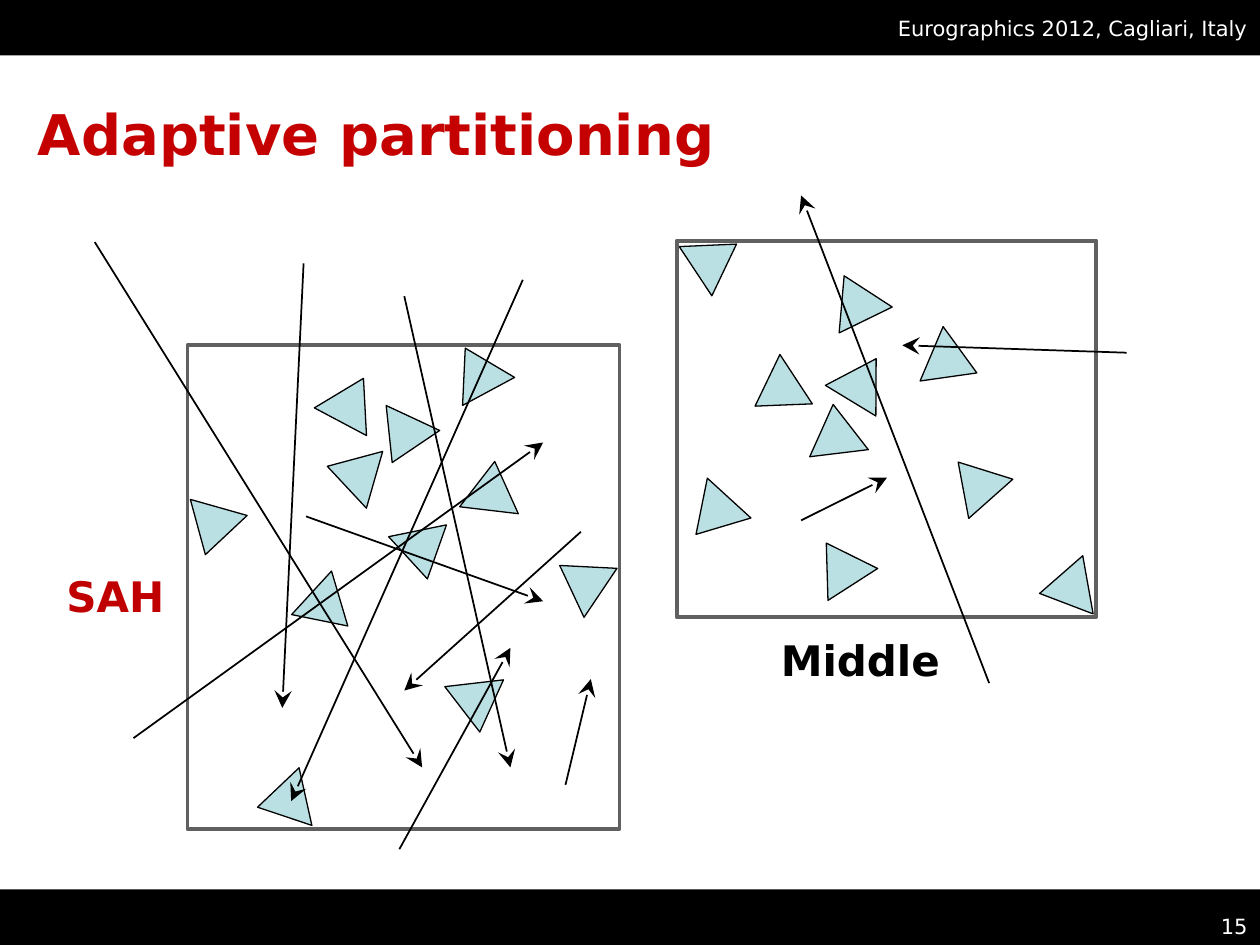
from dataclasses import dataclass

from lxml.etree import SubElement
from pptx import Presentation
from pptx.dml.color import RGBColor
from pptx.enum.shapes import MSO_CONNECTOR as Link, MSO_SHAPE as Kind
from pptx.enum.text import MSO_ANCHOR as Anchor, PP_ALIGN as Align
from pptx.oxml.ns import qn
from pptx.util import Cm, Pt

FONT = "DejaVu Sans"
BLACK, WHITE, RED = "000000", "FFFFFF", "C40000"
GREY, PALE = "606060", "BBE0E3"
WIDE, HIGH, BAND = 25.4, 19.05, 1.12


@dataclass
class Box:
    x: float
    y: float
    w: float
    h: float

    def spans(self) -> tuple:
        return Cm(self.x), Cm(self.y), Cm(self.w), Cm(self.h)


@dataclass
class Tri:
    x: float
    y: float
    turn: float


@dataclass
class Ray:
    x1: float
    y1: float
    x2: float
    y2: float


def tint(code: str) -> RGBColor:
    return RGBColor.from_string(code)


def write(shape, text: str, size=12, color=WHITE, bold=False,
          align=Align.LEFT, anchor=Anchor.TOP, wrap=True) -> None:
    frame = shape.text_frame
    frame.word_wrap = wrap
    frame.vertical_anchor = anchor
    para = frame.paragraphs[0]
    para.text = text
    para.alignment = align
    font = para.font
    font.name, font.size, font.bold = FONT, Pt(size), bold
    font.color.rgb = tint(color)


def draw(slide, kind, box: Box, fill=None, line=None, width=0.75, turn=0):
    shape = slide.shapes.add_shape(kind, *box.spans())
    shape.shadow.inherit = False
    shape.rotation = turn
    if fill:
        shape.fill.solid()
        shape.fill.fore_color.rgb = tint(fill)
    else:
        shape.fill.background()
    if line:
        shape.line.color.rgb = tint(line)
        shape.line.width = Pt(width)
    else:
        shape.line.fill.background()
    return shape


def shoot(slide, ray: Ray) -> None:
    link = slide.shapes.add_connector(
        Link.STRAIGHT, Cm(ray.x1), Cm(ray.y1), Cm(ray.x2), Cm(ray.y2))
    link.line.color.rgb = tint(BLACK)
    link.line.width = Pt(1)
    SubElement(link.line._get_or_add_ln(), qn("a:tailEnd"),
               type="stealth", w="lg", len="lg")
    SubElement(link._element.spPr, qn("a:effectLst"))


def label(slide, box: Box, text: str, **style) -> None:
    write(slide.shapes.add_textbox(*box.spans()), text, **style)


TRIS = [
    # Left scene
    Tri(6.5, 7.57, 28), Tri(6.48, 9.04, 286), Tri(7.52, 8.38, 205),
    Tri(9.02, 6.96, 331.7), Tri(9.32, 9.3, 6.7), Tri(7.92, 10.69, 168.5),
    Tri(11.1, 11.18, 303.9), Tri(6.05, 11.79, 132.5), Tri(9.02, 13.77, 173.4),
    Tri(3.68, 10.21, 195.8), Tri(5.08, 15.67, 257.5),
    # Right scene
    Tri(16.64, 5.51, 334), Tri(15.04, 7.42, 236.7), Tri(13.84, 4.7, 56.5),
    Tri(16.81, 7.16, 31.3), Tri(16.26, 8.15, 353.1), Tri(18.64, 6.83, 112.9),
    Tri(16.33, 10.87, 327.3), Tri(13.77, 9.91, 222.4), Tri(19.05, 9.19, 318.4),
    Tri(20.85, 11.38, 259.9),
]
CELLS = [Box(3.78, 6.96, 8.71, 9.75), Box(13.64, 4.85, 8.46, 7.59)]
RAYS = [
    # Left scene
    Ray(1.91, 4.88, 8.51, 15.47), Ray(6.12, 5.31, 5.69, 14.27),
    Ray(6.17, 10.41, 10.95, 12.12), Ray(2.69, 14.88, 10.95, 8.92),
    Ray(8.15, 5.97, 10.29, 15.47), Ray(8.05, 17.12, 10.29, 13.06),
    Ray(11.71, 10.72, 8.15, 13.92), Ray(10.54, 5.64, 5.87, 16.15),
    Ray(11.4, 15.82, 11.91, 13.69),
    # Right scene
    Ray(19.94, 13.77, 16.15, 3.94), Ray(16.15, 10.49, 17.88, 9.63),
    Ray(22.71, 7.11, 18.19, 6.96),
]


def main() -> None:
    deck = Presentation()
    deck.slide_width, deck.slide_height = Cm(WIDE), Cm(HIGH)
    slide = deck.slides.add_slide(deck.slide_layouts[5])

    # Bands, title and page number
    draw(slide, Kind.RECTANGLE, Box(0, HIGH - BAND, WIDE, BAND), fill=BLACK)
    head = draw(slide, Kind.RECTANGLE, Box(0, 0, WIDE, BAND), fill=BLACK)
    write(head, "Eurographics 2012, Cagliari, Italy",
          align=Align.RIGHT, anchor=Anchor.MIDDLE)
    title = slide.shapes.title
    spot = Box(0.51, 1.32, 24.41, 2.74)
    title.left, title.top, title.width, title.height = spot.spans()
    write(title, "Adaptive partitioning", size=32, color=RED, bold=True,
          anchor=Anchor.MIDDLE)
    label(slide, Box(20.12, 18.29, 5.28, 0.64), "15", align=Align.RIGHT)

    # Triangles, cells and rays
    for tri in TRIS:
        draw(slide, Kind.ISOSCELES_TRIANGLE, Box(tri.x, tri.y, 1.19, 0.99),
             fill=PALE, line=BLACK, turn=tri.turn)
    for cell in CELLS:
        draw(slide, Kind.RECTANGLE, cell, line=GREY, width=2.25)
    for ray in RAYS:
        shoot(slide, ray)

    # Scene names
    label(slide, Box(1.09, 11.38, 2.6, 1.27), "SAH", size=24,
          color="C00000", bold=True, wrap=False)
    label(slide, Box(15.49, 12.67, 3.76, 1.27), "Middle", size=24,
          color=BLACK, bold=True, wrap=False)

    deck.save("out.pptx")


if __name__ == "__main__":
    main()
